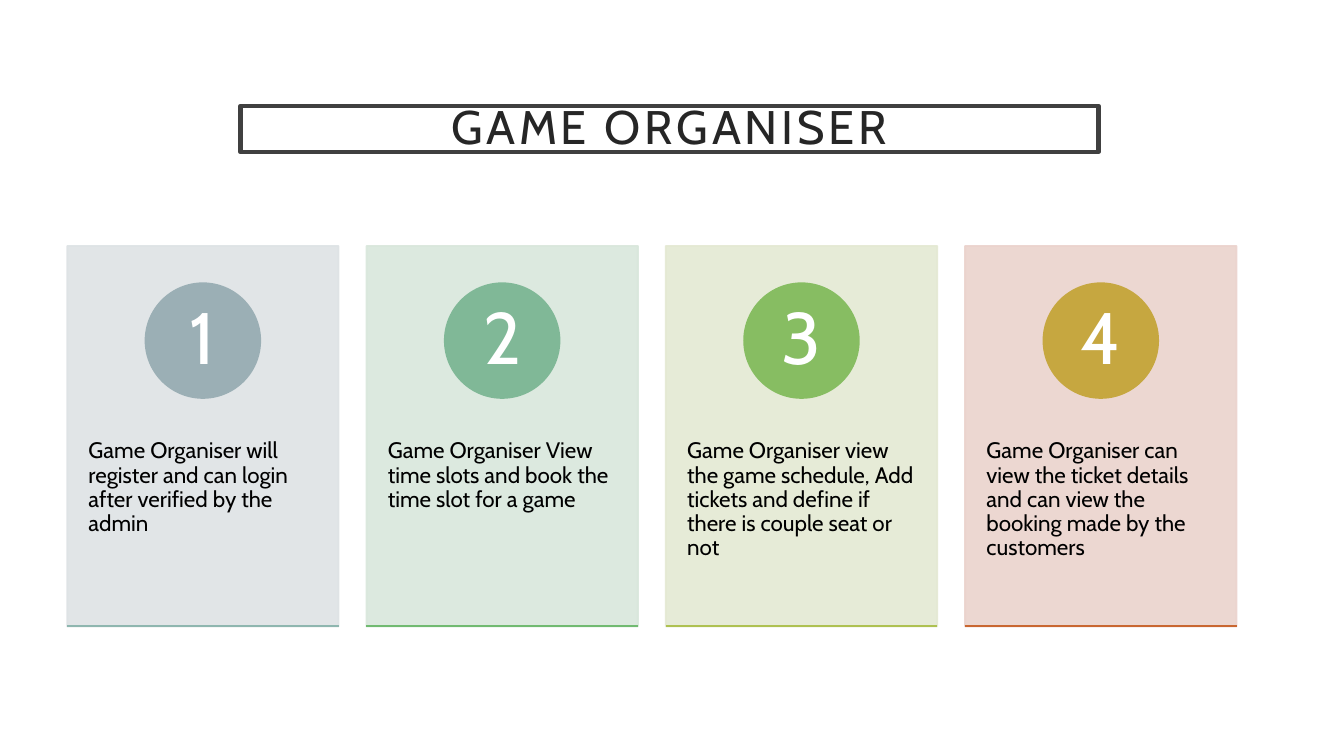
from pptx import Presentation
from pptx.dml.color import RGBColor
from pptx.enum.shapes import MSO_CONNECTOR as Connector, MSO_SHAPE as Shape
from pptx.enum.text import MSO_ANCHOR as Anchor, MSO_AUTO_SIZE as AutoSize, PP_ALIGN as Align
from pptx.oxml.ns import qn
from pptx.util import Pt
from lxml.etree import SubElement

# Content: text, card tint, circle colour, base line colour
TITLE = "GAME ORGANISER"
STEPS = [
    ("Game Organiser will register and can login after verified by the admin",
     "DEE3E5", "9BAFB5", "8EB6AF"),
    ("Game Organiser View time slots and book the time slot for a game",
     "D9E7DC", "80B897", "71BA71"),
    ("Game Organiser view the game schedule, Add tickets and define if there is couple seat or not",
     "E4E9D3", "87BD62", "AEC151"),
    ("Game Organiser can view the ticket details and can view the booking made by the customers",
     "EBD3CD", "C6A740", "C96731"),
]

THEME = {
    "font": "Cabin",
    "paper": "FFFFFF", "frame": "404040", "heading": "262626",
    "body": "000000", "number": "FFFFFF",
    "heading_size": 25.2, "body_size": 12, "number_size": 39,
    "card_opacity": 90,
}

# Layout in points
PAGE_W, PAGE_H = 720, 405
TITLE_BOX = (128.8, 56.8, 459.6, 24.6)
CARD_LEFT, CARD_TOP, CARD_W, CARD_H, CARD_PITCH = 36, 131.8, 145.4, 203.8, 160.35
CIRCLE_TOP, CIRCLE_SIZE = 151.8, 61.4
BODY_TOP, BODY_H = 209.5, 122.4


def set_opacity(color_format, percent):
    """Add an alpha value to every colour inside a solid fill."""
    for color in color_format.iter(qn("a:srgbClr")):
        SubElement(color, qn("a:alpha")).set("val", str(percent * 1000))


def paint(shape, fill, line, width=1):
    shape.shadow.inherit = False
    shape.fill.solid()
    shape.fill.fore_color.rgb = RGBColor.from_string(fill)
    shape.line.color.rgb = RGBColor.from_string(line)
    shape.line.width = Pt(width)


def write(shape, text, role, align, anchor, insets):
    """Fill a shape with one paragraph; insets are (sides, top and bottom)."""
    frame = shape.text_frame
    side, end = map(Pt, insets)
    frame_format = {
        "text": text, "word_wrap": True, "auto_size": AutoSize.NONE,
        "vertical_anchor": anchor, "margin_left": side, "margin_right": side,
        "margin_top": end, "margin_bottom": end,
    }
    for name, value in frame_format.items():
        setattr(frame, name, value)
    para = frame.paragraphs[0]
    para.alignment, para.line_spacing = align, 0.9
    para.space_before = Pt(0)
    span = para.runs[0]
    font_format = {"name": THEME["font"], "size": Pt(THEME[role + "_size"]), "bold": False}
    for name, value in font_format.items():
        setattr(span.font, name, value)
    span.font.color.rgb = RGBColor.from_string(THEME[role])
    return span


def add_title(page):
    title = page.shapes.title
    title.left, title.top, title.width, title.height = map(Pt, TITLE_BOX)
    paint(title, THEME["paper"], THEME["frame"], 2.5)
    span = write(title, TITLE, "heading", Align.CENTER, Anchor.MIDDLE, (14.4, 0))
    span.font._element.set("spc", "200")


def add_card(page, index, text, tint, accent, base):
    left = CARD_LEFT + index * CARD_PITCH
    shapes = page.shapes

    # Tinted panel
    card = shapes.add_shape(Shape.RECTANGLE, *map(Pt, (left, CARD_TOP, CARD_W, CARD_H)))
    paint(card, tint, tint)
    set_opacity(card._element.spPr, THEME["card_opacity"])

    # Description
    body = shapes.add_textbox(*map(Pt, (left, BODY_TOP, CARD_W, BODY_H)))
    write(body, text, "body", Align.LEFT, Anchor.TOP, (11.4, 26))

    # Numbered circle, centred in the card
    circle_left = left + (CARD_W - CIRCLE_SIZE) / 2
    circle = shapes.add_shape(
        Shape.OVAL, *map(Pt, (circle_left, CIRCLE_TOP, CIRCLE_SIZE, CIRCLE_SIZE)))
    paint(circle, accent, accent)
    write(circle, str(index + 1), "number", Align.CENTER, Anchor.MIDDLE, (0, 0))

    # Base line
    bottom = CARD_TOP + CARD_H
    rule = shapes.add_connector(
        Connector.STRAIGHT, *map(Pt, (left, bottom, left + CARD_W, bottom)))
    rule.line.color.rgb = RGBColor.from_string(base)
    rule.line.width = Pt(1)
    SubElement(rule._element.spPr, qn("a:effectLst"))


def main():
    deck = Presentation()
    deck.slide_width, deck.slide_height = Pt(PAGE_W), Pt(PAGE_H)
    page = deck.slides.add_slide(deck.slide_layouts[5])
    add_title(page)
    for index, step in enumerate(STEPS):
        add_card(page, index, *step)
    deck.save("out.pptx")


if __name__ == "__main__":
    main()
